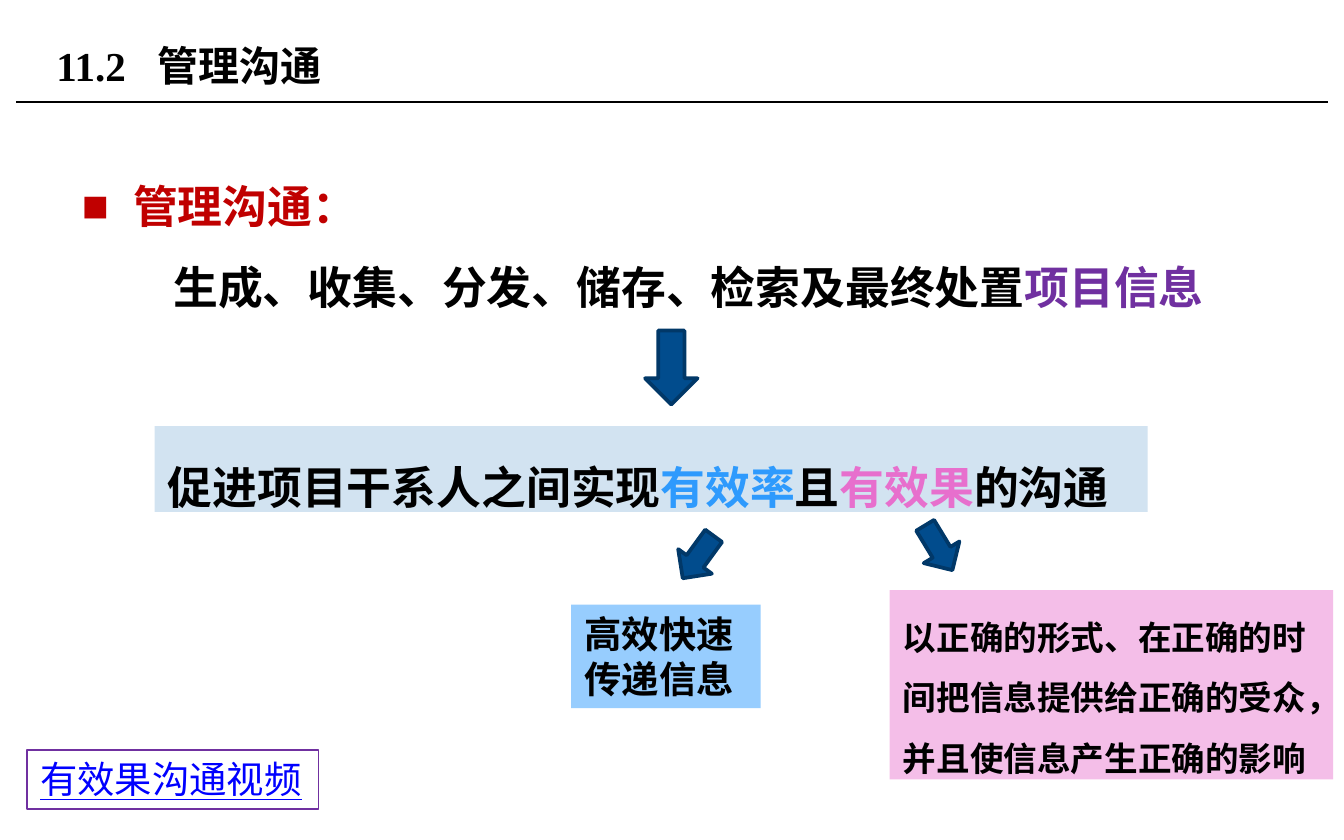
"""Build the slide on managing communications, section 11.2."""
from typing import NamedTuple, Optional

from lxml import etree
from pptx import Presentation
from pptx.dml.color import RGBColor
from pptx.enum import shapes, text
from pptx.oxml import ns
from pptx.util import Inches, Pt

BLACK = RGBColor(0x00, 0x00, 0x00)
RED = RGBColor(0xC0, 0x00, 0x00)
PURPLE = RGBColor(0x70, 0x30, 0xA0)
SKY = RGBColor(0x2E, 0x9A, 0xFD)
PINK = RGBColor(0xE7, 0x6F, 0xCD)
LINK_BLUE = RGBColor(0x00, 0x00, 0xFF)
PALE_BLUE = RGBColor(0xD2, 0xE3, 0xF1)
LIGHT_BLUE = RGBColor(0x97, 0xCD, 0xFE)
LIGHT_PINK = RGBColor(0xF4, 0xBE, 0xE8)
ARROW_FILL = RGBColor(0x01, 0x4C, 0x8D)
ARROW_LINE = RGBColor(0x01, 0x38, 0x68)
SERIF = "Times New Roman"
SANS = "Cabin"
CHINESE = "Noto Sans CJK SC"


class Span(NamedTuple):
    words: str
    color: RGBColor = BLACK


class Box(NamedTuple):
    left: float
    top: float
    width: float
    height: float
    spans: list[Span]
    size: float
    font: str = SERIF
    fill: Optional[RGBColor] = None
    border: Optional[RGBColor] = None
    spacing: float = 1.0
    bold: bool = True
    underline: bool = False
    wrap: bool = True


class Arrow(NamedTuple):
    left: float
    top: float
    width: float
    height: float
    rotation: float = 0


BOXES = [
    Box(1.15, 3.17, 7.39, 0.64,
        [Span("促进项目干系人之间实现"), Span("有效率", SKY), Span("且"),
         Span("有效果", PINK), Span("的沟通")],
        24, fill=PALE_BLUE, spacing=1.5),
    Box(4.25, 4.5, 1.41, 0.77, [Span("高效快速传递信息")], 20, SANS, LIGHT_BLUE),
    Box(6.62, 4.39, 3.3, 1.41,
        [Span("以正确的形式、在正确的时间把信息提供给正确的受众，并且使信息产生正确的影响")],
        18, fill=LIGHT_PINK, spacing=1.5),
    Box(0.2, 5.58, 2.17, 0.44, [Span("有效果沟通视频", LINK_BLUE)], 20, SANS,
        border=PURPLE, bold=False, underline=True, wrap=False),
]
ARROWS = [
    Arrow(4.8, 2.46, 0.39, 0.55),
    Arrow(5.04, 3.95, 0.31, 0.39, 36.1),
    Arrow(6.83, 3.88, 0.31, 0.39, 328.7),
]


def write(paragraph, spans: list[Span], size: float, font: str = SERIF,
          spacing: float = 1.0, bold: bool = True, underline: bool = False) -> None:
    """Add coloured runs to a left-aligned paragraph."""
    paragraph.alignment = text.PP_ALIGN.LEFT
    paragraph.line_spacing = spacing
    paragraph.space_before = Pt(0)
    for span in spans:
        run = paragraph.add_run()
        run.text = span.words
        run.font.size = Pt(size)
        run.font.bold = bold
        run.font.underline = underline
        run.font.color.rgb = span.color
        run.font.name = font
        east_asian = etree.SubElement(run.font._element, ns.qn("a:ea"))
        east_asian.set("typeface", CHINESE)


def indent(paragraph, margin: float, first: float, bullet: str = "") -> None:
    """Set the margins of a paragraph and its bullet, if any."""
    props = paragraph._p.get_or_add_pPr()
    props.set("marL", str(Inches(margin)))
    props.set("indent", str(Inches(first)))
    if bullet:
        etree.SubElement(props, ns.qn("a:buChar")).set("char", bullet)
    else:
        etree.SubElement(props, ns.qn("a:buNone"))


def place(shape, left: float, top: float, width: float, height: float) -> None:
    """Move and size a placeholder."""
    shape.left, shape.top = Inches(left), Inches(top)
    shape.width, shape.height = Inches(width), Inches(height)


def draw_box(slide, box: Box) -> None:
    """Draw a rectangle with its text."""
    panel = slide.shapes.add_shape(
        shapes.MSO_SHAPE.RECTANGLE, Inches(box.left), Inches(box.top),
        Inches(box.width), Inches(box.height))
    panel.shadow.inherit = False
    if box.fill is None:
        panel.fill.background()
    else:
        panel.fill.solid()
        panel.fill.fore_color.rgb = box.fill
    if box.border is None:
        panel.line.fill.background()
    else:
        panel.line.color.rgb = box.border
        panel.line.width = Pt(0.75)
    frame = panel.text_frame
    frame.word_wrap = box.wrap
    frame.auto_size = text.MSO_AUTO_SIZE.SHAPE_TO_FIT_TEXT
    frame.vertical_anchor = text.MSO_ANCHOR.TOP
    write(frame.paragraphs[0], box.spans, box.size, box.font, box.spacing,
          box.bold, box.underline)


def draw_arrow(slide, arrow: Arrow) -> None:
    """Draw a turned down arrow."""
    pointer = slide.shapes.add_shape(
        shapes.MSO_SHAPE.DOWN_ARROW, Inches(arrow.left), Inches(arrow.top),
        Inches(arrow.width), Inches(arrow.height))
    pointer.shadow.inherit = False
    pointer.rotation = arrow.rotation
    pointer.fill.solid()
    pointer.fill.fore_color.rgb = ARROW_FILL
    pointer.line.color.rgb = ARROW_LINE
    pointer.line.width = Pt(2)


def draw_heading(slide) -> None:
    """Fill the title and draw the rule below it."""
    rule = slide.shapes.add_connector(
        shapes.MSO_CONNECTOR.STRAIGHT, Inches(0.12), Inches(0.76), Inches(9.88), Inches(0.76))
    rule.line.color.rgb = BLACK
    rule.line.width = Pt(0.75)
    etree.SubElement(rule._element.spPr, ns.qn("a:effectLst"))
    heading = slide.shapes.title
    place(heading, 0.32, 0.13, 6.38, 0.71)
    frame = heading.text_frame
    frame.auto_size = text.MSO_AUTO_SIZE.NONE
    frame.vertical_anchor = text.MSO_ANCHOR.MIDDLE
    line = frame.paragraphs[0]
    tabs = etree.SubElement(line._p.get_or_add_pPr(), ns.qn("a:tabLst"))
    etree.SubElement(tabs, ns.qn("a:tab"), pos=str(Inches(0.75)), algn="l")
    write(line, [Span("11.2\t管理沟通")], 22)


def draw_definition(slide) -> None:
    """Fill the body with the term and its definition."""
    definition = slide.placeholders[1]
    place(definition, 0.51, 1.08, 8.98, 3.9)
    frame = definition.text_frame
    frame.auto_size = text.MSO_AUTO_SIZE.NONE
    term = frame.paragraphs[0]
    indent(term, 0.38, -0.38, "■")
    write(term, [Span("管理沟通：", RED)], 24, spacing=1.5)
    meaning = frame.add_paragraph()
    indent(meaning, 0.68, 0)
    write(meaning, [Span("生成、收集、分发、储存、检索及最终处置"), Span("项目信息", PURPLE)],
          24, spacing=1.5)


def main() -> None:
    """Assemble and save the slide."""
    deck = Presentation()
    deck.slide_width, deck.slide_height = Inches(10), Inches(6.25)
    slide = deck.slides.add_slide(deck.slide_layouts[1])
    draw_heading(slide)
    draw_definition(slide)
    for box in BOXES:
        draw_box(slide, box)
    for arrow in ARROWS:
        draw_arrow(slide, arrow)
    deck.save("out.pptx")


if __name__ == "__main__":
    main()
